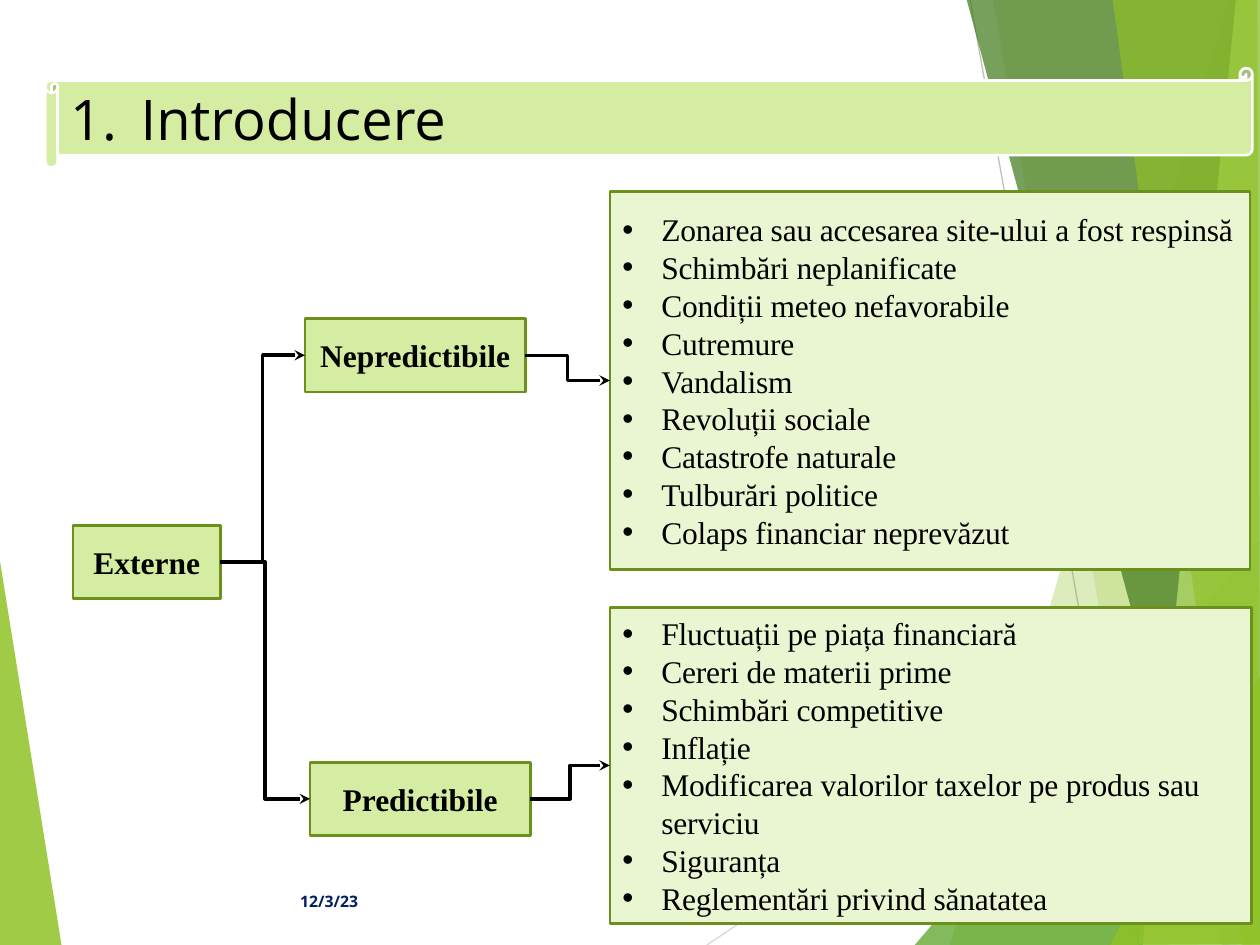
from dataclasses import dataclass

import pptx
import pptx.dml.color
import pptx.enum.shapes
import pptx.enum.text
import pptx.oxml
import pptx.oxml.ns
import pptx.util
from pptx.util import Inches

RGB = pptx.dml.color.RGBColor
SHAPE = pptx.enum.shapes.MSO_SHAPE
ALIGN = pptx.enum.text.PP_ALIGN
qn = pptx.oxml.ns.qn

BLACK = RGB(0x00, 0x00, 0x00)
WHITE = RGB(0xFF, 0xFF, 0xFF)
NAVY = RGB(0x00, 0x20, 0x60)
GREEN = RGB(0x90, 0xC2, 0x26)
MID_GREEN = RGB(0x54, 0xA0, 0x21)
DARK_GREEN = RGB(0x3F, 0x78, 0x19)
LIME = RGB(0xC0, 0xE4, 0x74)
LABEL_FILL = RGB(0xD5, 0xED, 0xA2)
LIST_FILL = RGB(0xEA, 0xF6, 0xD1)
BORDER = RGB(0x6B, 0x90, 0x1C)
GRAY = RGB(0xBF, 0xBF, 0xBF)
LIGHT_GRAY = RGB(0xD9, 0xD9, 0xD9)

SERIF = "Times New Roman"
SANS = "Open Sans"
LEFT_SITE, RIGHT_SITE = 1, 3


@dataclass
class Facet:
    points: list[tuple[float, float]]
    color: RGB
    opacity: int


@dataclass
class Box:
    left: float
    top: float
    width: float
    height: float
    fill: RGB = LABEL_FILL
    line: RGB = BORDER
    preset: SHAPE = SHAPE.FLOWCHART_PROCESS


LEFT_FACET = Facet([(-0.01, 4.39), (0.49, 7.51), (-0.01, 7.5)], GREEN, 85)
RIGHT_FACETS = [
    Facet([(9.75, 0), (7.54, 7.5), (10.02, 7.51), (10.01, 0.01)], GREEN, 30),
    Facet([(7.88, -0.01), (9.19, 7.5), (10.01, 7.5), (10.01, -0.01)], GREEN, 20),
    Facet([(7.26, 7.5), (10, 4.29), (10.01, 7.5)], MID_GREEN, 72),
    Facet([(7.67, -0.01), (9.7, 7.5), (10.01, 7.49), (10.01, -0.01)], DARK_GREEN, 70),
    Facet([(9.81, -0.01), (9.07, 7.5), (10.01, 7.5), (10, -0.01)], LIME, 70),
    Facet([(8.83, -0.01), (9.86, 7.5), (10, 7.5), (9.98, -0.01)], GREEN, 65),
    Facet([(8.81, 7.5), (10.01, 5.35), (10.01, 7.49)], GREEN, 80),
]

UNPREDICTABLE = [
    "Zonarea sau accesarea site-ului a fost respinsă",
    "Schimbări neplanificate",
    "Condiții meteo nefavorabile",
    "Cutremure",
    "Vandalism",
    "Revoluții sociale",
    "Catastrofe naturale",
    "Tulburări politice",
    "Colaps financiar neprevăzut",
]
PREDICTABLE = [
    "Fluctuații pe piața financiară",
    "Cereri de materii prime",
    "Schimbări competitive",
    "Inflație",
    "Modificarea valorilor taxelor pe produs sau serviciu",
    "Siguranța",
    "Reglementări privind sănatatea",
]


def add_facet(s, facet: Facet) -> None:
    points = [(Inches(x), Inches(y)) for x, y in facet.points]
    builder = s.shapes.build_freeform(*points[0])
    builder.add_line_segments(points[1:], close=True)
    sp = builder.convert_to_shape()
    sp.shadow.inherit = False
    sp.line.fill.background()
    sp.fill.solid()
    sp.fill.fore_color.rgb = facet.color
    color = sp.fill._xPr.find(qn("a:solidFill"))[0]
    color.append(pptx.oxml.parse_xml(
        f'<a:alpha {pptx.oxml.ns.nsdecls("a")} val="{facet.opacity * 1000}"/>'))


def style_connector(cxn, color: RGB, width: float) -> None:
    cxn.line.color.rgb = color
    cxn.line.width = pptx.util.Pt(width)
    cxn._element.spPr.append(cxn._element.makeelement(qn("a:effectLst"), {}))


def add_hairline(s, x1: float, y1: float, x2: float, y2: float, color: RGB) -> None:
    cxn = s.shapes.add_connector(pptx.enum.shapes.MSO_CONNECTOR.STRAIGHT,
                                 Inches(x1), Inches(y1), Inches(x2), Inches(y2))
    style_connector(cxn, color, 0.75)


def add_elbow(s, source, target) -> None:
    """Join the right side of source to the left side of target with an arrow."""
    cxn = s.shapes.add_connector(pptx.enum.shapes.MSO_CONNECTOR.ELBOW,
                                 source.left + source.width, source.top + source.height // 2,
                                 target.left, target.top + target.height // 2)
    cxn.begin_connect(source, RIGHT_SITE)
    cxn.end_connect(target, LEFT_SITE)
    style_connector(cxn, BLACK, 2)
    ln = cxn.line._get_or_add_ln()
    ln.append(ln.makeelement(qn("a:tailEnd"), {"type": "stealth"}))


def add_box(s, box: Box):
    sp = s.shapes.add_shape(box.preset, Inches(box.left), Inches(box.top),
                            Inches(box.width), Inches(box.height))
    sp.shadow.inherit = False
    sp.fill.solid()
    sp.fill.fore_color.rgb = box.fill
    sp.line.color.rgb = box.line
    sp.line.width = pptx.util.Pt(1.5)
    return sp


def write(sp, lines: list[str], size: float, font: str, color: RGB = BLACK,
          bold: bool = False, align: ALIGN = ALIGN.LEFT) -> None:
    tf = sp.text_frame
    tf.word_wrap = True
    tf.vertical_anchor = pptx.enum.text.MSO_ANCHOR.MIDDLE
    for i, line in enumerate(lines):
        p = tf.paragraphs[0] if i == 0 else tf.add_paragraph()
        p.alignment = align
        r = p.add_run()
        r.text = line
        r.font.size = pptx.util.Pt(size)
        r.font.name = font
        r.font.bold = bold
        r.font.color.rgb = color


def add_markers(sp, indent: float, tag: str, **attributes: str) -> None:
    """Give every paragraph a hanging indent and a bullet or number."""
    for p in sp.text_frame.paragraphs:
        pPr = p._p.get_or_add_pPr()
        pPr.set("marL", str(Inches(indent)))
        pPr.set("indent", str(-Inches(indent)))
        if tag == "a:buChar":
            pPr.append(pPr.makeelement(qn("a:buFont"), {"typeface": "Arial"}))
        pPr.append(pPr.makeelement(qn(tag), attributes))


def add_label(s, text: str, box: Box):
    sp = add_box(s, box)
    write(sp, [text], 18, SERIF, bold=True, align=ALIGN.CENTER)
    return sp


def add_list(s, items: list[str], box: Box):
    sp = add_box(s, box)
    write(sp, items, 18, SERIF)
    add_markers(sp, 0.31, "a:buChar", char="•")
    for p in sp.text_frame.paragraphs:
        p.runs[0].font._element.set("spc", "-10")
    return sp


def main() -> None:
    prs = pptx.Presentation()
    prs.slide_width, prs.slide_height = Inches(10), Inches(7.5)
    s = prs.slides.add_slide(prs.slide_layouts[6])

    add_facet(s, LEFT_FACET)
    add_hairline(s, 5.61, 7.5, 10.01, 4.57, LIGHT_GRAY)
    add_hairline(s, 7.7, 0, 9.04, 7.5, GRAY)
    for facet in RIGHT_FACETS:
        add_facet(s, facet)

    date = s.shapes.add_textbox(Inches(0.69), Inches(6.95), Inches(2.25), Inches(0.4))
    write(date, ["12/3/23"], 9, SANS, NAVY, bold=True, align=ALIGN.RIGHT)

    title = add_box(s, Box(0.36, 0.54, 9.58, 0.79, line=WHITE, preset=SHAPE.HORIZONTAL_SCROLL))
    write(title, ["Introducere"], 32, SANS)
    add_markers(title, 0.56, "a:buAutoNum", type="arabicPeriod")

    external = add_label(s, "Externe", Box(0.58, 4.17, 1.17, 0.58))
    unpredictable = add_label(s, "Nepredictibile", Box(2.42, 2.53, 1.75, 0.58))
    predictable = add_label(s, "Predictibile", Box(2.46, 6.05, 1.75, 0.58))
    unpredictable_list = add_list(s, UNPREDICTABLE, Box(4.84, 1.52, 5.08, 3, LIST_FILL))
    predictable_list = add_list(s, PREDICTABLE, Box(4.84, 4.82, 5.09, 2.51, LIST_FILL))

    for source, target in [(external, unpredictable), (external, predictable),
                           (unpredictable, unpredictable_list),
                           (predictable, predictable_list)]:
        add_elbow(s, source, target)

    prs.save("out.pptx")


if __name__ == "__main__":
    main()
